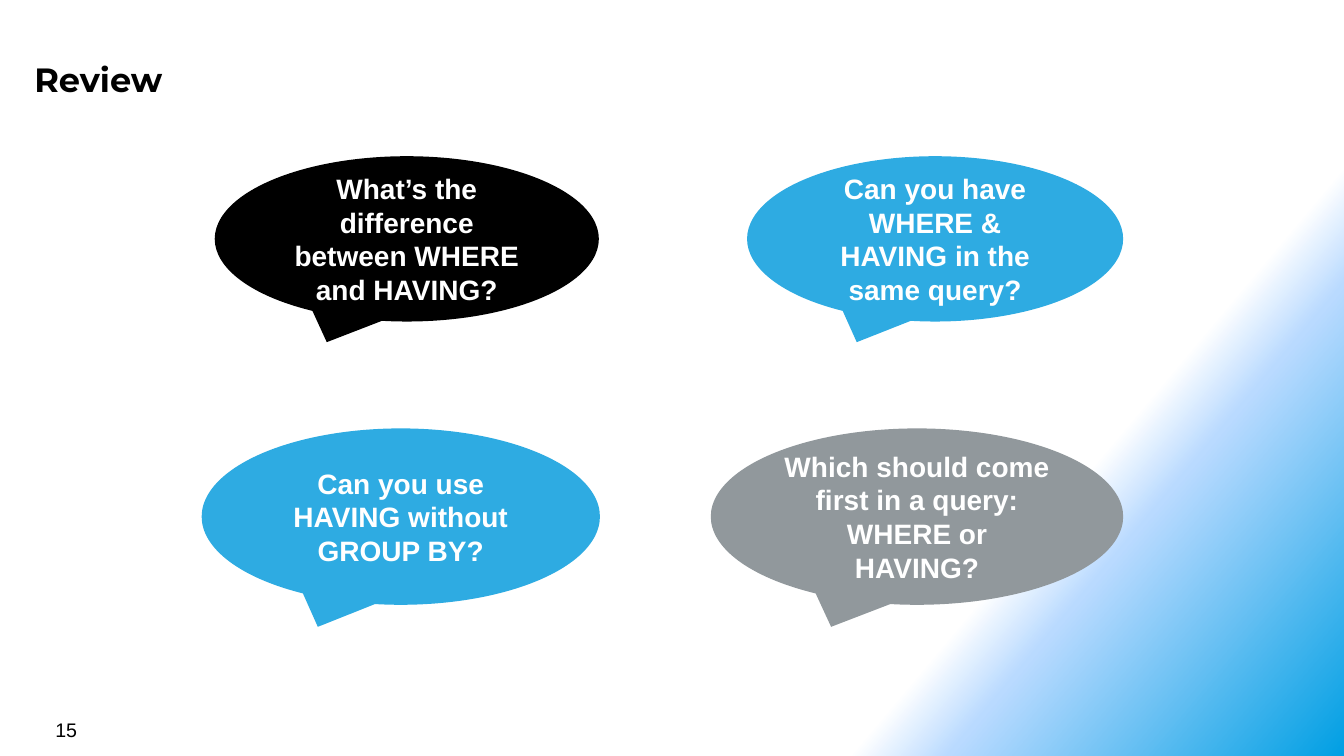
from copy import deepcopy

from pptx import Presentation
from pptx.dml.color import RGBColor
from pptx.enum.shapes import MSO_SHAPE
from pptx.enum.text import MSO_ANCHOR, PP_ALIGN
from pptx.oxml.ns import qn
from pptx.util import Inches, Pt

CALLOUT = MSO_SHAPE.OVAL_CALLOUT
MIDDLE = MSO_ANCHOR.MIDDLE
LEFT, CENTER = PP_ALIGN.LEFT, PP_ALIGN.CENTER
TITLE_ONLY = 5

COLORS = {
    "black": "000000",
    "white": "FFFFFF",
    "blue": "2EABE2",
    "gray": "91989C",
    "pale": "B9DAFF",
    "deep": "009FE3",
}
BACKGROUND_STOPS = [(0.75, "white"), (0.8, "pale"), (1, "deep")]
TITLE = "Review"
PAGE_NUMBER = "15"
ROWS = [
    (1.55, 1.64, [
        (2.13, 5.94, "black", "What’s the difference between WHERE and HAVING?"),
        (7.41, 11.14, "blue", "Can you have WHERE & HAVING in the same query?"),
    ]),
    (4.25, 1.75, [
        (2, 5.95, "blue", "Can you use HAVING without GROUP BY?"),
        (7.05, 11.14, "gray", "Which should come first in a query: WHERE or HAVING?"),
    ]),
]


def color(name):
    return RGBColor.from_string(COLORS[name])


def write(shape, text, size, font, ink, bold, align):
    frame = shape.text_frame
    frame.word_wrap = True
    frame.vertical_anchor = MIDDLE
    para = frame.paragraphs[0]
    para.text = text
    para.alignment = align
    para.font.size = Pt(size)
    para.font.name = font
    para.font.bold = bold
    para.font.color.rgb = color(ink)


def paint_background(page):
    fill = page.background.fill
    fill.gradient()
    fill.gradient_angle = 320
    stop_list = next(page.element.iter(qn("a:gsLst")))
    stop_list.append(deepcopy(stop_list[-1]))
    for stop, (position, name) in zip(fill.gradient_stops, BACKGROUND_STOPS):
        stop.position = position
        stop.color.rgb = color(name)


def add_bubble(page, left, top, right, height, fill, question):
    bubble = page.shapes.add_shape(
        CALLOUT, Inches(left), Inches(top), Inches(right - left), Inches(height))
    bubble.shadow.inherit = False
    bubble.fill.solid()
    bubble.fill.fore_color.rgb = color(fill)
    bubble.line.fill.background()
    write(bubble, question, 20, "Arial", "white", True, CENTER)


def main():
    deck = Presentation()
    deck.slide_width, deck.slide_height = Inches(13.33), Inches(7.5)
    page = deck.slides.add_slide(deck.slide_layouts[TITLE_ONLY])
    paint_background(page)

    title = page.shapes.title
    title.left, title.top = Inches(0.26), Inches(0.51)
    title.width, title.height = Inches(12.26), Inches(0.55)
    frame = title.text_frame
    frame.margin_left = frame.margin_right = Inches(0.08)
    frame.margin_top = frame.margin_bottom = Inches(0.08)
    write(title, TITLE, 24, "Montserrat", "black", True, LEFT)

    for top, height, bubbles in ROWS:
        for left, right, fill, question in bubbles:
            add_bubble(page, left, top, right, height, fill, question)

    number = page.shapes.add_textbox(
        Inches(0.45), Inches(7.07), Inches(3.11), Inches(0.33))
    write(number, PAGE_NUMBER, 14, "Arial", "black", False, LEFT)

    deck.save("out.pptx")


if __name__ == "__main__":
    main()
